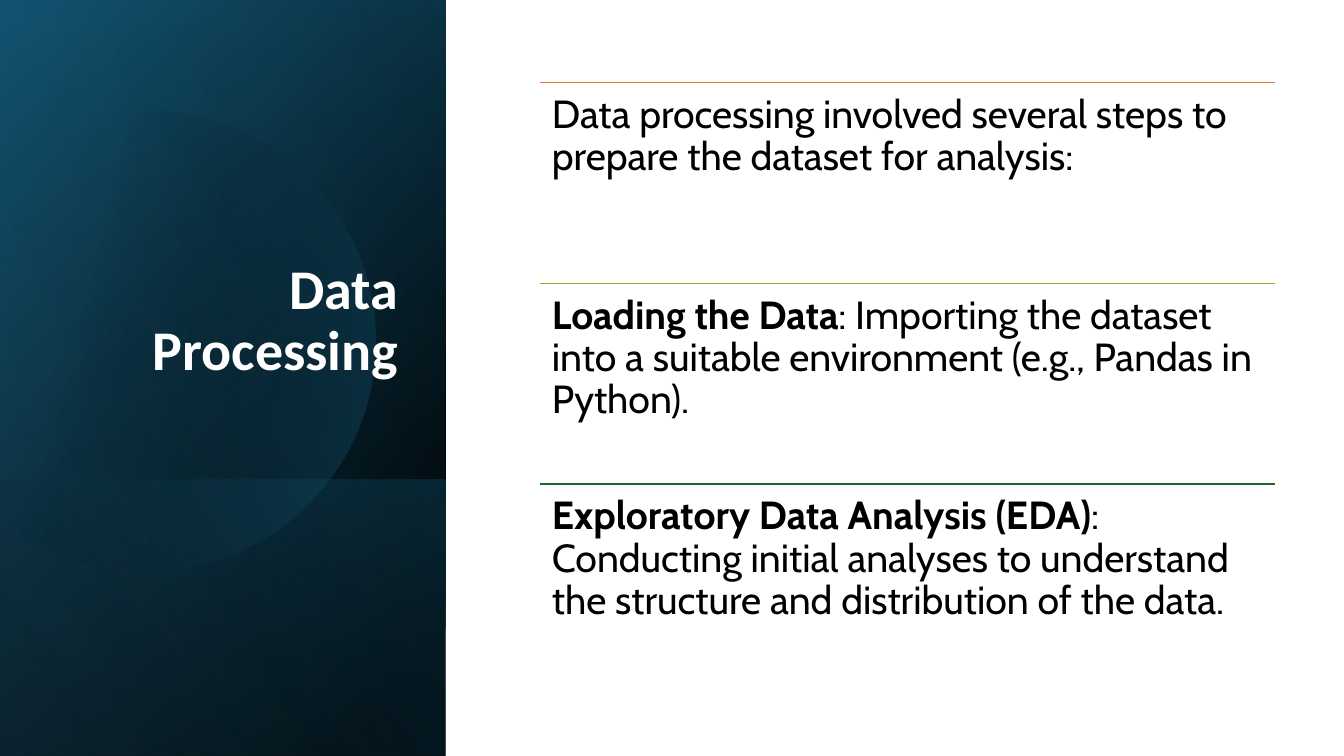
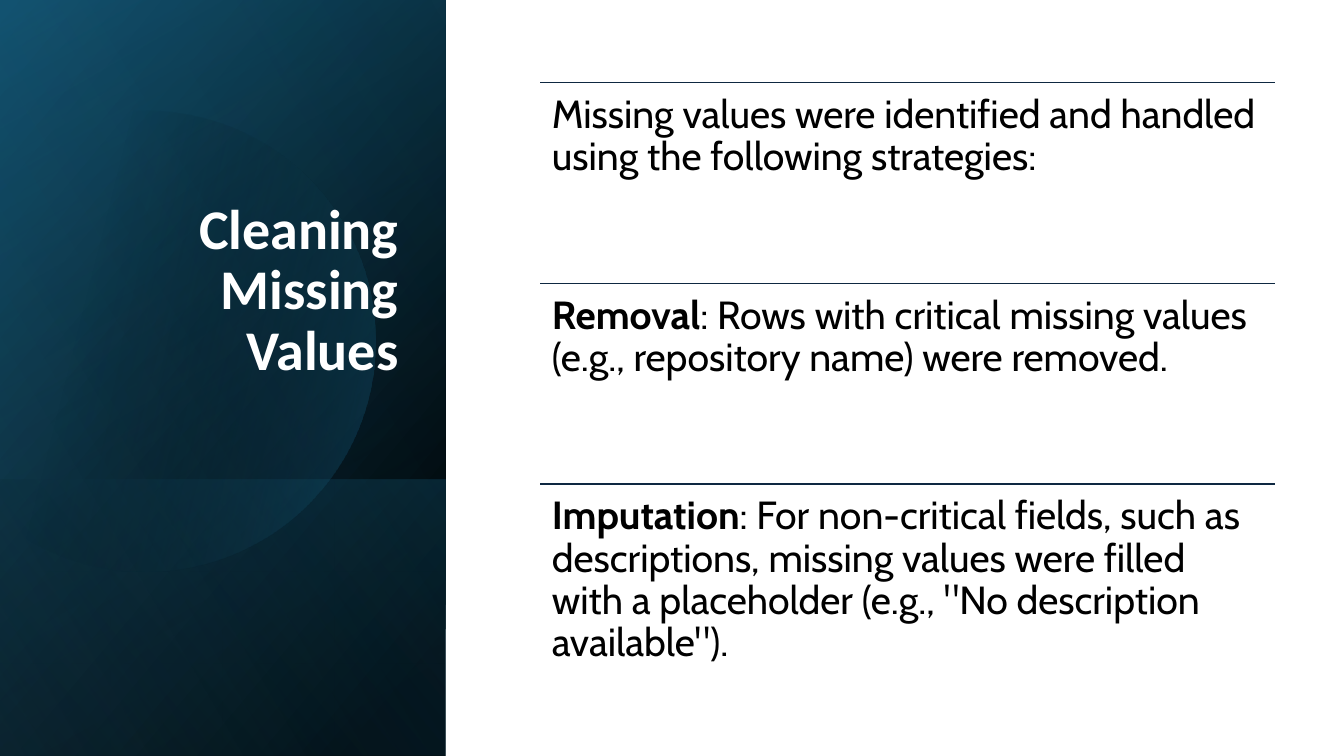
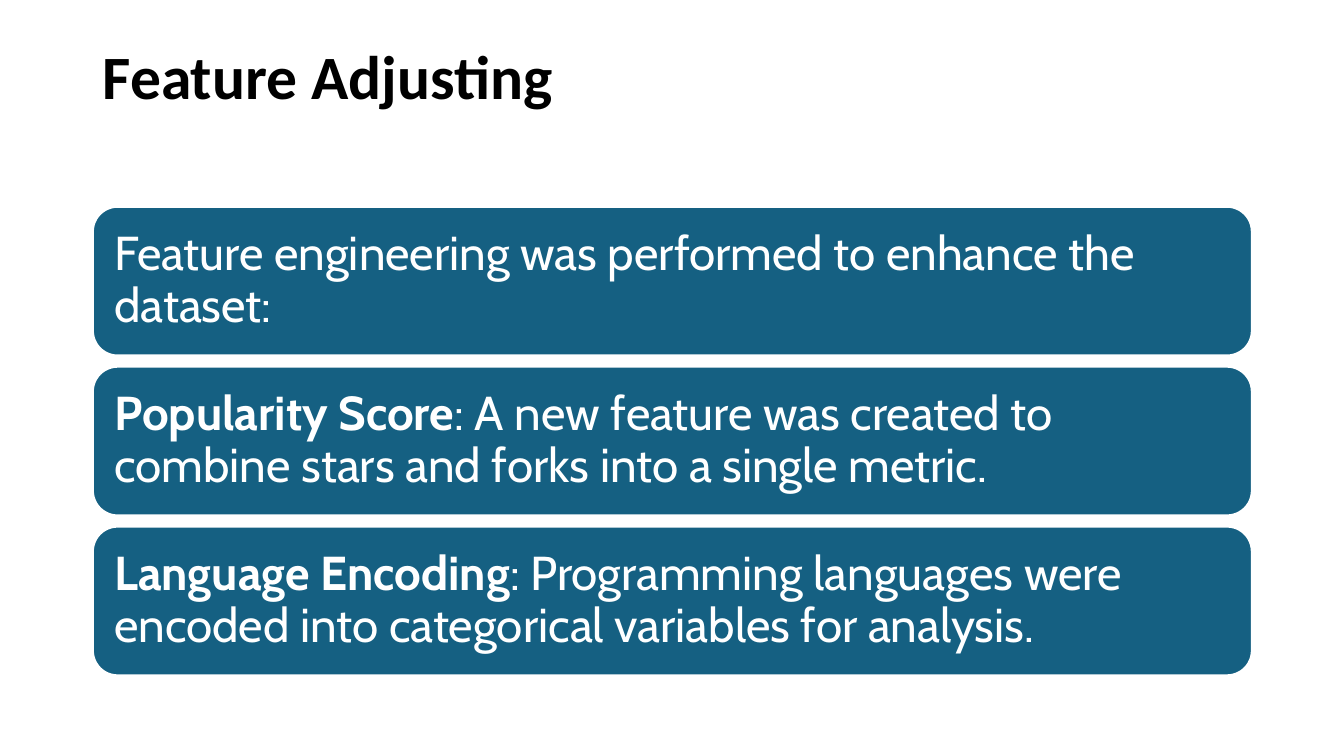
from math import acos, cos, pi, sin

from lxml import etree
from pptx import Presentation
from pptx.dml.color import RGBColor
from pptx.enum import shapes, text
from pptx.oxml import parse_xml
from pptx.oxml.ns import nsdecls, qn
from pptx.util import Cm, Pt

THEME = {
    "white": "FFFFFF", "black": "000000", "teal": "156082", "deep": "104862",
    "sky": "46B1E1", "navy": "0E2841", "orange": "E97132", "olive": "8EB21E",
    "green": "196B24",
    "title_font": "Calibri", "body_font": "Cabin",
    "panel_title": 40, "page_title": 44, "step": 28, "card": 34,
}
SIDE, HEIGHT = 11.23, 19.05  # side panel width and slide height in cm


def write(tf, runs, font, size, color, align="LEFT", anchor="TOP",
          inset=0.25, bottom=None):
    """Fill a text frame with one paragraph of (words, bold) runs."""
    frame = {
        "word_wrap": True,
        "vertical_anchor": text.MSO_ANCHOR[anchor],
        "margin_left": Cm(inset), "margin_right": Cm(inset),
        "margin_top": Cm(min(inset, 0.13) if bottom else inset),
        "margin_bottom": Cm(bottom or inset),
    }
    for name, value in frame.items():
        setattr(tf, name, value)
    p = tf.paragraphs[0]
    p.alignment = text.PP_ALIGN[align]
    p.line_spacing = 0.9
    for words, bold in runs:
        r = p.add_run()
        r.text = words
        for name, value in {"name": THEME[font], "size": Pt(THEME[size]),
                            "bold": bold}.items():
            setattr(r.font, name, value)
        r.font.color.rgb = RGBColor.from_string(THEME[color])


def shade(sp, angle, stops):
    """Give a shape a linear gradient of (position, colour, opacity) stops."""
    sp.shadow.inherit = False
    sp.line.fill.background()
    marks = "".join(
        f'<a:gs pos="{pos * 1000}"><a:srgbClr val="{THEME[color]}">'
        f'<a:alpha val="{opacity * 1000}"/></a:srgbClr></a:gs>'
        for pos, color, opacity in stops)
    grad = parse_xml(
        f'<a:gradFill {nsdecls("a")} rotWithShape="1"><a:gsLst>{marks}</a:gsLst>'
        f'<a:lin ang="{angle * 60000}" scaled="0"/></a:gradFill>')
    sp.fill.background()
    pr = sp.element.spPr
    pr.replace(pr.find(qn("a:noFill")), grad)


prs = Presentation()
prs.slide_width, prs.slide_height = Cm(33.87), Cm(HEIGHT)
blank = prs.slide_layouts[6]

# Side panel: layers from back to front as (top, height, angle, stops)
under_disc = [
    (0, HEIGHT, 50, [(8, "black", 100), (100, "deep", 100)]),
    (0, HEIGHT, 30, [(0, "black", 0), (99, "teal", 46)]),
    (12.09, 6.96, 130, [(2, "teal", 29), (100, "black", 30)]),
]
disc = (14, [(29, "black", 0), (100, "teal", 43)])
over_disc = [(0, HEIGHT, 120, [(0, "black", 0), (99, "sky", 11)])]

# The disc is a circle cut off by a vertical edge on the left
disc_x, disc_y, disc_r, disc_edge = 3.66, 8.59, 5.8, -0.38
reach = acos((disc_edge - disc_x) / disc_r)
turns = [reach * (2 * i / 120 - 1) for i in range(121)]
outline = [(Cm(disc_x + disc_r * cos(t)), Cm(disc_y + disc_r * sin(t)))
           for t in turns]

panel_slides = [
    ("Data Processing", [
        ("orange", "",
         "Data processing involved several steps to prepare the dataset for analysis:"),
        ("olive", "Loading the Data",
         ": Importing the dataset into a suitable environment (e.g., Pandas in Python)."),
        ("green", "Exploratory Data Analysis (EDA)",
         ": Conducting initial analyses to understand the structure and "
         "distribution of the data."),
    ]),
    ("Cleaning Missing Values", [
        ("navy", "",
         "Missing values were identified and handled using the following strategies:"),
        ("navy", "Removal",
         ": Rows with critical missing values (e.g., repository name) were removed."),
        ("navy", "Imputation",
         ": For non-critical fields, such as descriptions, missing values were "
         'filled with a placeholder (e.g., "No description available").'),
    ]),
]
step_left, step_top, step_w, step_h = 13.61, 2.08, 18.53, 5.06

for title, steps in panel_slides:
    slide = prs.slides.add_slide(blank)
    for layer in [*under_disc, None, *over_disc]:
        if layer is None:
            pen = slide.shapes.build_freeform(*outline[0])
            pen.add_line_segments(outline[1:], close=True)
            shade(pen.convert_to_shape(), *disc)
            continue
        top, h, angle, stops = layer
        # A quarter turn about the centre swaps width and height
        sp = slide.shapes.add_shape(
            shapes.MSO_SHAPE.RECTANGLE, Cm((SIDE - h) / 2),
            Cm(top + (h - SIDE) / 2), Cm(h), Cm(SIDE))
        sp.rotation = 90
        sp.element.spPr.find(qn("a:xfrm")).set("flipH", "1")
        shade(sp, angle, stops)

    box = slide.shapes.add_textbox(Cm(1.63), Cm(4.67), Cm(8.66), Cm(6.65))
    write(box.text_frame, [(title, True)], "title_font", "panel_title", "white",
          align="RIGHT", anchor="BOTTOM", bottom=1.68)

    for i, (color, lead, rest) in enumerate(steps):
        y = Cm(step_top + i * step_h)
        rule = slide.shapes.add_connector(
            shapes.MSO_CONNECTOR.STRAIGHT, Cm(step_left), y,
            Cm(step_left + step_w), y)
        rule.line.color.rgb = RGBColor.from_string(THEME[color])
        rule.line.width = Pt(1)
        etree.SubElement(rule.element.spPr, qn("a:effectLst"))
        box = slide.shapes.add_textbox(Cm(step_left), y, Cm(step_w), Cm(step_h))
        runs = [(lead, True), (rest, False)] if lead else [(rest, False)]
        write(box.text_frame, runs, "body_font", "step", "black", inset=0.3)

# Cards
cards = [
    ("", "Feature engineering was performed to enhance the dataset:"),
    ("Popularity Score",
     ": A new feature was created to combine stars and forks into a single metric."),
    ("Language Encoding",
     ": Programming languages were encoded into categorical variables for analysis."),
]
card_left, card_top, card_w, card_h, card_gap = 2.34, 5.21, 29.21, 3.75, 0.28

slide = prs.slides.add_slide(blank)
box = slide.shapes.add_textbox(Cm(card_left), Cm(1.02), Cm(card_w), Cm(3.68))
write(box.text_frame, [("Feature Adjusting", True)], "title_font", "page_title",
      "black", anchor="MIDDLE", bottom=1.83)
for i, (lead, rest) in enumerate(cards):
    sp = slide.shapes.add_shape(
        shapes.MSO_SHAPE.ROUNDED_RECTANGLE, Cm(card_left),
        Cm(card_top + i * (card_h + card_gap)), Cm(card_w), Cm(card_h))
    sp.shadow.inherit = False
    sp.fill.solid()
    sp.fill.fore_color.rgb = RGBColor.from_string(THEME["teal"])
    sp.line.color.rgb = RGBColor.from_string(THEME["white"])
    sp.line.width = Pt(1.5)
    runs = [(lead, True), (rest, False)] if lead else [(rest, False)]
    # The rounded corners already add to the inset of the text
    write(sp.text_frame, runs, "body_font", "card", "white", anchor="MIDDLE",
          inset=0.36)

prs.save("out.pptx")
